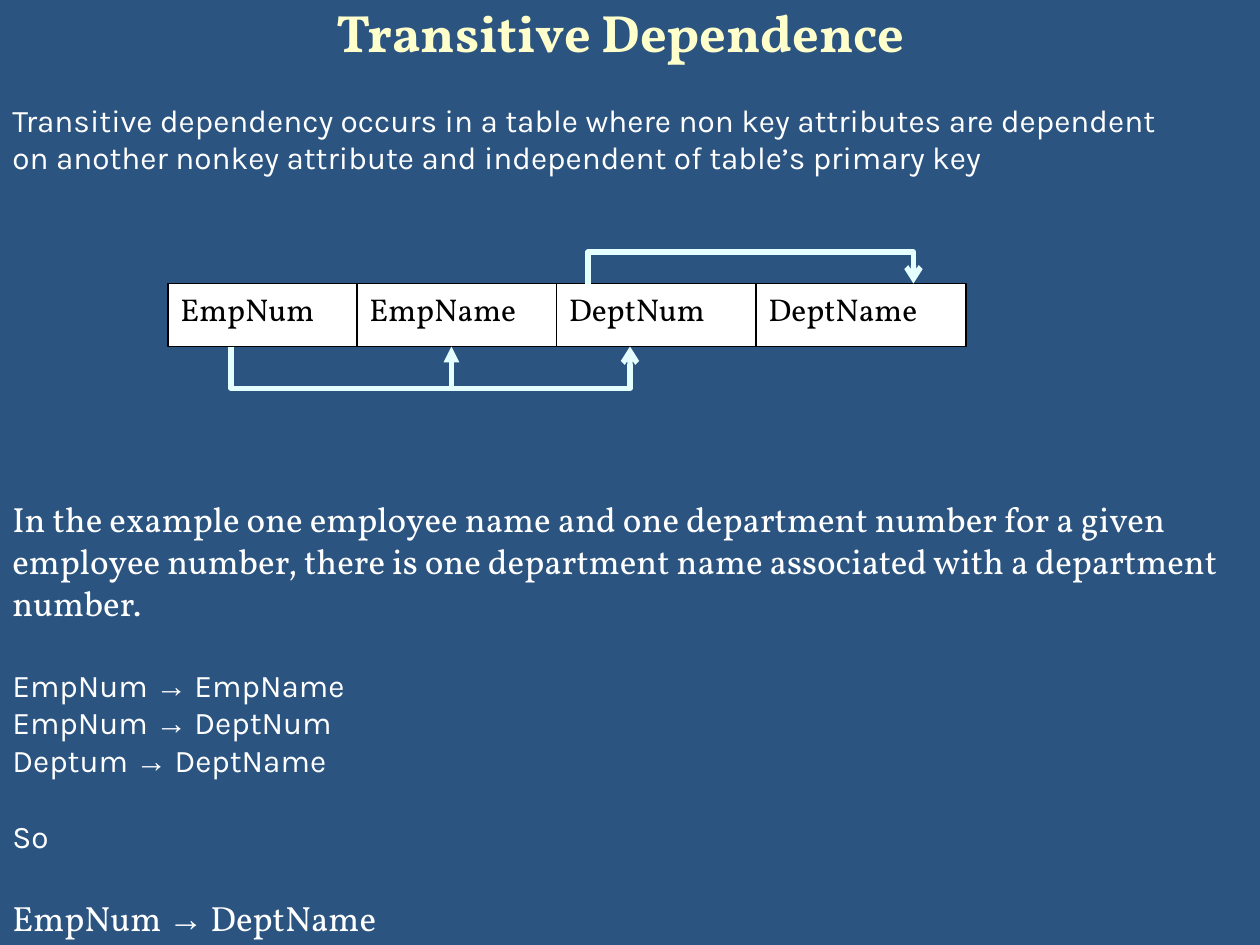
from dataclasses import dataclass
from typing import NamedTuple

from pptx import Presentation, util as u
from pptx.dml.color import RGBColor
from pptx.enum import shapes, text
from pptx.oxml import ns
from lxml import etree


@dataclass(frozen=True)
class Theme:
    background: str = "2B5481"
    title: str = "FFFFCC"
    body: str = "FFFFFF"
    cell: str = "FFFFFF"
    ink: str = "000000"
    arrow: str = "E5FFFF"
    serif: str = "Vollkorn"
    sans: str = "Karla"
    symbol: str = "Arial"
    title_size: int = 30
    large: int = 20
    normal: int = 18
    border: float = 0.75
    stroke: float = 3


class Box(NamedTuple):
    """Left, top, width and height in grid units."""
    x: float
    y: float
    w: float
    h: float


class Field(NamedTuple):
    name: str
    column: int
    span: int


class Line(NamedTuple):
    """A paragraph; an arrow sign in it gets the symbol font."""
    words: str
    font: str
    size: int
    before: float = 0


T = Theme()
COLUMNS, ROWS = 120, 90
WIDTH, HEIGHT = u.Inches(10), u.Inches(7.5)
TABLE_TOP, TABLE_BOTTOM = 27, 33
LOOP_TOP, LOOP_BOTTOM = 24, 37

FIELDS = [
    Field("EmpNum", 16, 19),
    Field("EmpName", 34, 19),
    Field("DeptNum", 53, 19),
    Field("DeptName", 72, 20),
]
INTRO = [Line("Transitive dependency occurs in a table where non key attributes "
              "are dependent on another nonkey attribute and independent of "
              "table’s primary key", T.sans, T.normal)]
EXPLANATION = [
    Line("In the example one employee name and one department number for a given "
         "employee number, there is one department name associated with a "
         "department number.", T.serif, T.large),
    Line("EmpNum → EmpName", T.sans, T.normal, 24),
    Line("EmpNum → DeptNum", T.sans, T.normal),
    Line("Deptum → DeptName", T.sans, T.normal),
    Line("So", T.sans, T.normal, 21.6),
    Line("EmpNum → DeptName", T.serif, T.large, 24),
]


def gx(column: float) -> int:
    return round(WIDTH * column / COLUMNS)


def gy(row: float) -> int:
    return round(HEIGHT * row / ROWS)


def place(box: Box) -> tuple:
    return gx(box.x), gy(box.y), gx(box.w), gy(box.h)


def rgb(color: str) -> RGBColor:
    return RGBColor.from_string(color)


def add_run(p, words: str, font: str, size: int, color: str, bold=False) -> None:
    r = p.add_run()
    r.text = words
    r.font.name, r.font.size, r.font.bold = font, u.Pt(size), bold
    r.font.color.rgb = rgb(color)


def write(tf, lines: list, color: str) -> None:
    tf.word_wrap = True
    for i, line in enumerate(lines):
        p = tf.add_paragraph() if i else tf.paragraphs[0]
        p.alignment = text.PP_ALIGN.LEFT
        if line.before:
            p.space_before = u.Pt(line.before)
        left, sign, right = line.words.partition("→")
        for words, font in ((left, line.font), (sign, T.symbol), (right, line.font)):
            if words:
                add_run(p, words, font, line.size, color)


def add_text(s, box: Box, lines: list, anchor) -> None:
    tf = s.shapes.add_textbox(*place(box)).text_frame
    write(tf, lines, T.body)
    tf.vertical_anchor = anchor


def add_field(s, field: Field) -> None:
    box = Box(field.column, TABLE_TOP, field.span, TABLE_BOTTOM - TABLE_TOP)
    sp = s.shapes.add_shape(shapes.MSO_SHAPE.RECTANGLE, *place(box))
    sp.shadow.inherit = False
    sp.fill.solid()
    sp.fill.fore_color.rgb = rgb(T.cell)
    sp.line.color.rgb = rgb(T.ink)
    sp.line.width = u.Pt(T.border)
    write(sp.text_frame, [Line(field.name, T.serif, T.normal)], T.ink)
    sp.text_frame.vertical_anchor = text.MSO_ANCHOR.TOP


def style_arrow(sp, end: str, kind: str) -> None:
    sp.line.color.rgb = rgb(T.arrow)
    sp.line.width = u.Pt(T.stroke)
    ln = sp.element.spPr.find(ns.qn("a:ln"))
    etree.SubElement(ln, ns.qn(f"a:{end}")).set("type", kind)


def add_loop(s, start: int, stop: int, edge: int, turn: int) -> None:
    """Arrow that leaves the table edge, runs along row turn and comes back."""
    fb = s.shapes.build_freeform(gx(start), gy(edge))
    fb.add_line_segments([(gx(start), gy(turn)), (gx(stop), gy(turn)),
                          (gx(stop), gy(edge))], close=False)
    sp = fb.convert_to_shape()
    sp.shadow.inherit = False
    sp.fill.background()
    style_arrow(sp, "tailEnd", "arrow")


def add_branch(s, column: int) -> None:
    sp = s.shapes.add_connector(shapes.MSO_CONNECTOR.STRAIGHT, gx(column),
                                gy(TABLE_BOTTOM), gx(column), gy(LOOP_BOTTOM))
    style_arrow(sp, "headEnd", "triangle")
    etree.SubElement(sp.element.spPr, ns.qn("a:effectLst"))


def add_title(s, words: str) -> None:
    sp = s.shapes.title
    sp.left, sp.top, sp.width, sp.height = place(Box(20, 0, 78.2, 6))
    tf = sp.text_frame
    tf.margin_left = tf.margin_right = tf.margin_top = tf.margin_bottom = 0
    tf.auto_size = text.MSO_AUTO_SIZE.NONE
    tf.vertical_anchor = text.MSO_ANCHOR.MIDDLE
    p = tf.paragraphs[0]
    p.alignment = text.PP_ALIGN.CENTER
    p.line_spacing = 1.0
    add_run(p, words, T.serif, T.title_size, T.title, bold=True)


def main() -> None:
    prs = Presentation()
    prs.slide_width, prs.slide_height = WIDTH, HEIGHT
    s = prs.slides.add_slide(prs.slide_layouts[5])
    s.background.fill.solid()
    s.background.fill.fore_color.rgb = rgb(T.background)

    # Title and explanation
    add_title(s, "Transitive Dependence")
    add_text(s, Box(0, 46.8, 121.2, 43.2), EXPLANATION, text.MSO_ANCHOR.MIDDLE)

    # Table fields
    for field in FIELDS:
        add_field(s, field)

    # Dependency arrows
    add_loop(s, 22, 60, TABLE_BOTTOM, LOOP_BOTTOM)
    add_branch(s, 43)
    add_loop(s, 56, 87, TABLE_TOP, LOOP_TOP)

    # Definition
    add_text(s, Box(0, 9, 114, 12), INTRO, text.MSO_ANCHOR.TOP)
    prs.save("out.pptx")


if __name__ == "__main__":
    main()
